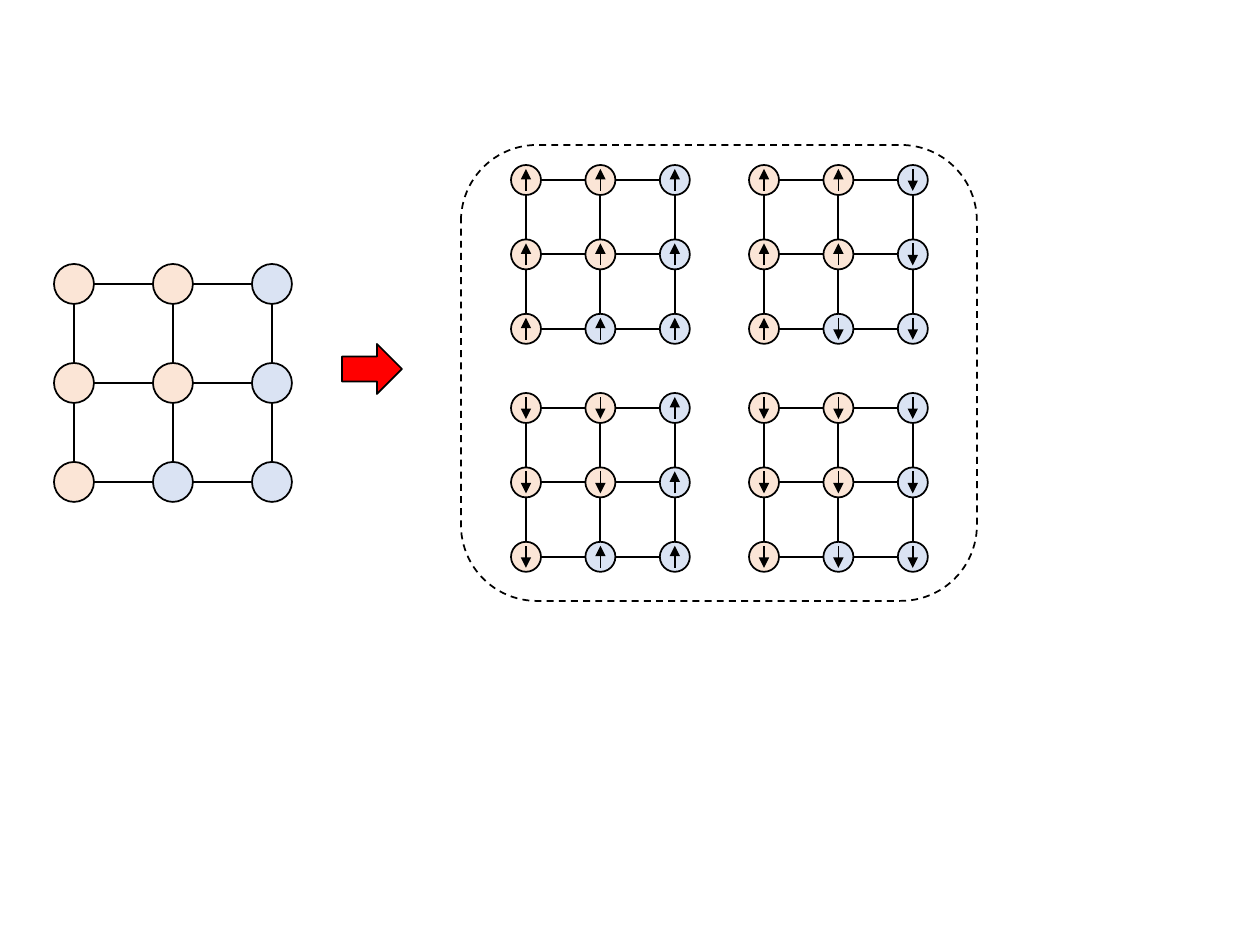
from itertools import product

from lxml import etree
from pptx import Presentation
from pptx.dml.color import RGBColor
from pptx.enum import dml, shapes
from pptx.oxml.ns import qn
from pptx.util import Emu, Pt

BLACK = RGBColor(0x00, 0x00, 0x00)
RED = RGBColor(0xFF, 0x00, 0x00)
PEACH = RGBColor(0xFB, 0xE5, 0xD6)
BLUE = RGBColor(0xDA, 0xE3, 0xF3)

KIND = shapes.MSO_SHAPE
SCALE = 914400 / 126  # EMU in one px
PEACHES = (2, 2, 1)  # peach nodes at the start of each row


def px(n):
    return Emu(round(n * SCALE))


class Board:
    def __init__(self, deck):
        self.slide = deck.slides.add_slide(deck.slide_layouts[6])
        self.tree = self.slide.shapes

    def shape(self, tree, kind, x, y, w, h, fill=None):
        item = tree.add_shape(kind, px(x), px(y), px(w), px(h))
        item.shadow.inherit = False
        if fill is None:
            item.fill.background()
        else:
            item.fill.solid()
            item.fill.fore_color.rgb = fill
        item.line.color.rgb = BLACK
        item.line.width = Pt(1)
        return item

    def spin(self, tree, x, y, up):
        """Short vertical arrow centred on a node."""
        half = 11
        line = tree.add_connector(shapes.MSO_CONNECTOR.STRAIGHT,
                                  px(x), px(y + half), px(x), px(y - half))
        line.line.color.rgb = BLACK
        line.line.width = Pt(1)
        end = "a:tailEnd" if up else "a:headEnd"
        etree.SubElement(line.line._get_or_add_ln(), qn(end), type="triangle")
        etree.SubElement(line._element.spPr, qn("a:effectLst"))

    def lattice(self, tree, x, y, step, size, spins=None):
        """2 by 2 cells with 3 by 3 nodes; spins = (peach up, blue up)."""
        for col, row in product(range(2), repeat=2):
            self.shape(tree, KIND.RECTANGLE, x + col * step, y + row * step,
                       step, step)
        for row, col in product(range(3), (2, 1, 0)):
            mid, top = x + col * step, y + row * step
            blue = col >= PEACHES[row]
            self.shape(tree, KIND.OVAL, mid - size / 2, top - size / 2,
                       size, size, BLUE if blue else PEACH)
            if spins:
                self.spin(tree, mid, top, spins[blue])


def main():
    deck = Presentation()
    deck.slide_width, deck.slide_height = px(1260), px(945)
    board = Board(deck)

    # Large lattice without spins
    board.lattice(board.tree, 74, 284, 99, 40)

    # Four spin states, one group each
    states = (
        (764, 180, (True, False)),
        (526, 180, (True, True)),
        (764, 408, (False, False)),
        (526, 408, (False, True)),
    )
    for x, y, spins in states:
        group = board.tree.add_group_shape()
        board.lattice(group.shapes, x, y, 74.4, 30, spins)

    # Arrow and dashed frame
    board.shape(board.tree, KIND.RIGHT_ARROW, 342, 344, 60, 50, RED)
    frame = board.shape(board.tree, KIND.ROUNDED_RECTANGLE, 461, 145, 516, 456)
    frame.line.dash_style = dml.MSO_LINE.DASH

    deck.save("out.pptx")


if __name__ == "__main__":
    main()
